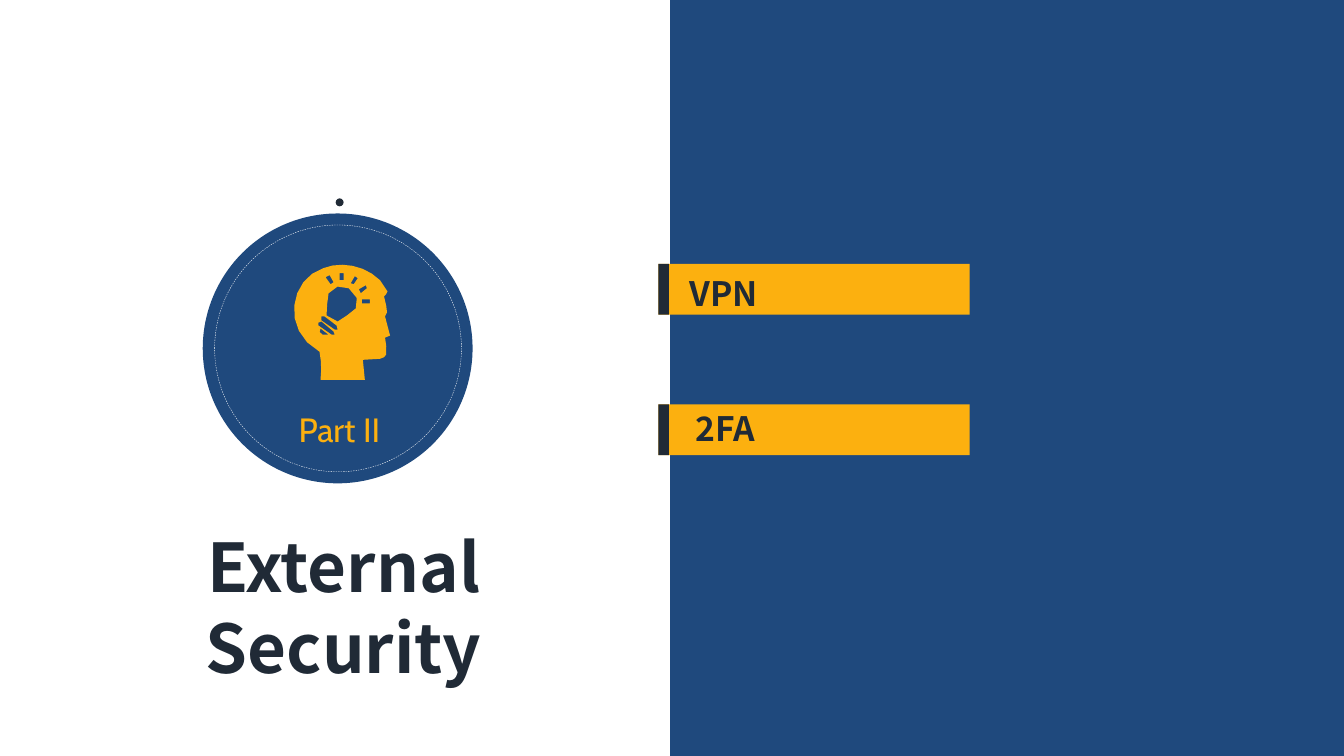
from dataclasses import dataclass
from math import dist

from pptx import Presentation
from pptx.dml.color import RGBColor
from pptx.enum import dml, shapes, text
from pptx.util import Cm, Pt


@dataclass(frozen=True)
class Theme:
    navy: RGBColor = RGBColor(0x1F, 0x49, 0x7D)
    amber: RGBColor = RGBColor(0xFC, 0xB0, 0x0F)
    ink: RGBColor = RGBColor(0x20, 0x2A, 0x36)
    white: RGBColor = RGBColor(0xFF, 0xFF, 0xFF)
    heading_font: str = "Noto Sans CJK SC"
    part_font: str = "Cabin"
    title_size: Pt = Pt(48)
    label_size: Pt = Pt(24)
    inset: Cm = Cm(0.13)


THEME = Theme()
RECTANGLE = shapes.MSO_SHAPE.RECTANGLE
OVAL = shapes.MSO_SHAPE.OVAL

# Outlines in hundredths of an inch: pairs are corners, sixes are cubic curves.
ICON_UNIT = Cm(0.0254)
HEAD = [
    (318, 377), (319, 368, 319, 358, 317, 349), (278, 327, 288, 276, 321, 266),
    (338, 259, 362, 263, 377, 278), (389, 289, 383, 292, 383, 292), (381, 294),
    (382, 299, 385, 309, 384, 310), (382, 314),
    (387, 333), (382, 335), (383, 341, 384, 346, 383, 352),
    (383, 353, 380, 356, 377, 356), (360, 357), (362, 377),
]
BULB = [
    (346, 286), (339, 282, 330, 284, 326, 291), (322, 298, 327, 305, 324, 313),
    (335, 319), (340, 313, 349, 313, 353, 306), (357, 300, 354, 291, 346, 286),
]
BULB_THREADS = [
    [(331, 329), (319, 319), (316, 320), (316, 323), (329, 332), (332, 332)],
    [(334, 323), (322, 314), (319, 314), (319, 318), (332, 327), (335, 327)],
]
BULB_TIP = [(318, 326), (316, 328, 317, 331, 320, 332), (326, 332)]
RAYS = [
    [(359, 301), (367, 301), (367, 297), (359, 297)],
    [(331, 280), (327, 273), (323, 275), (328, 282)],
    [(341, 278), (341, 271), (337, 271), (337, 278)],
    [(358, 291), (364, 286), (363, 283), (356, 287)],
    [(351, 282), (355, 276), (352, 274), (348, 281)],
]


def paint(shape, color):
    shape.shadow.inherit = False
    shape.fill.solid()
    shape.fill.fore_color.rgb = color
    shape.line.fill.background()


def add_filled(slide, kind, left, top, width, height, color):
    shape = slide.shapes.add_shape(kind, left, top, width, height)
    paint(shape, color)


def add_ring(slide, left, top, diameter):
    ring = slide.shapes.add_shape(OVAL, left, top, diameter, diameter)
    ring.shadow.inherit = False
    ring.fill.background()
    ring.line.color.rgb = THEME.white
    ring.line.width = Pt(0.25)
    ring.line.dash_style = dml.MSO_LINE.DASH


def add_text(slide, wording, left, top, width, height, size, color,
             font=THEME.heading_font, bold=True, wrap=False,
             align=text.PP_ALIGN.LEFT, anchor=text.MSO_ANCHOR.TOP):
    frame = slide.shapes.add_textbox(left, top, width, height).text_frame
    frame.word_wrap = wrap
    frame.auto_size = text.MSO_AUTO_SIZE.SHAPE_TO_FIT_TEXT
    frame.vertical_anchor = anchor
    frame.margin_left = frame.margin_right = THEME.inset
    frame.margin_top = frame.margin_bottom = THEME.inset
    paragraph = frame.paragraphs[0]
    paragraph.alignment = align
    run = paragraph.add_run()
    run.text = wording
    run.font.name = font
    run.font.size = size
    run.font.bold = bold
    run.font.color.rgb = color


def flatten(outline):
    """Turn corners and cubic curves into points in EMU; long curves get more."""
    points = [outline[0]]
    for segment in outline[1:]:
        if len(segment) == 2:
            points.append(segment)
            continue
        x0, y0 = points[-1]
        x1, y1, x2, y2, x3, y3 = segment
        steps = max(2, round(dist((x0, y0), (x3, y3)) / 10))
        for step in range(1, steps + 1):
            t = step / steps
            a, b, c, d = (1 - t) ** 3, 3 * t * (1 - t) ** 2, 3 * t * t * (1 - t), t ** 3
            points.append((a * x0 + b * x1 + c * x2 + d * x3,
                           a * y0 + b * y1 + c * y2 + d * y3))
    return [(x * ICON_UNIT, y * ICON_UNIT) for x, y in points]


def add_idea_icon(slide):
    """Draw a head with a light bulb cut out of it."""
    head, *holes = map(flatten, [HEAD, BULB, *BULB_THREADS, BULB_TIP, *RAYS])
    builder = slide.shapes.build_freeform(*head[0])
    builder.add_line_segments(head[1:])
    for hole in holes:
        builder.move_to(*hole[0])
        builder.add_line_segments(hole[1:])
    paint(builder.convert_to_shape(), THEME.amber)


def add_topic_bar(slide, top):
    for width, color in ((Cm(7.85), THEME.amber), (Cm(0.27), THEME.ink)):
        add_filled(slide, RECTANGLE, Cm(16.59), top, width, Cm(1.28), color)


def add_topic_label(slide, label, left, top, width):
    add_text(slide, label, left, top, width, Cm(1.27), THEME.label_size, THEME.ink)


def add_part_badge(slide):
    add_filled(slide, OVAL, Cm(5.11), Cm(5.38), Cm(6.8), Cm(6.8), THEME.navy)
    add_filled(slide, OVAL, Cm(8.46), Cm(5), Cm(0.2), Cm(0.2), THEME.ink)
    add_text(slide, "Part II", Cm(5.38), Cm(10.21), Cm(6.35), Cm(1.22),
             THEME.label_size, THEME.amber, font=THEME.part_font, bold=False,
             wrap=True, align=text.PP_ALIGN.CENTER, anchor=text.MSO_ANCHOR.MIDDLE)
    add_ring(slide, Cm(5.41), Cm(5.67), Cm(6.22))


def main():
    presentation = Presentation()
    presentation.slide_width = Cm(33.87)
    presentation.slide_height = Cm(19.05)
    slide = presentation.slides.add_slide(presentation.slide_layouts[6])

    add_filled(slide, RECTANGLE, Cm(16.89), Cm(0), Cm(16.98), Cm(19.05), THEME.navy)
    for bar_top in (Cm(6.65), Cm(10.19)):
        add_topic_bar(slide, bar_top)
    add_part_badge(slide)
    add_topic_label(slide, "VPN", Cm(17.25), Cm(6.74), Cm(2.03))
    add_topic_label(slide, "2FA", Cm(17.4), Cm(10.16), Cm(1.85))
    add_text(slide, "External Security", Cm(1.6), Cm(13.12), Cm(14.12), Cm(2.31),
             THEME.title_size, THEME.ink, align=text.PP_ALIGN.CENTER)
    add_idea_icon(slide)

    presentation.save("out.pptx")


if __name__ == "__main__":
    main()
